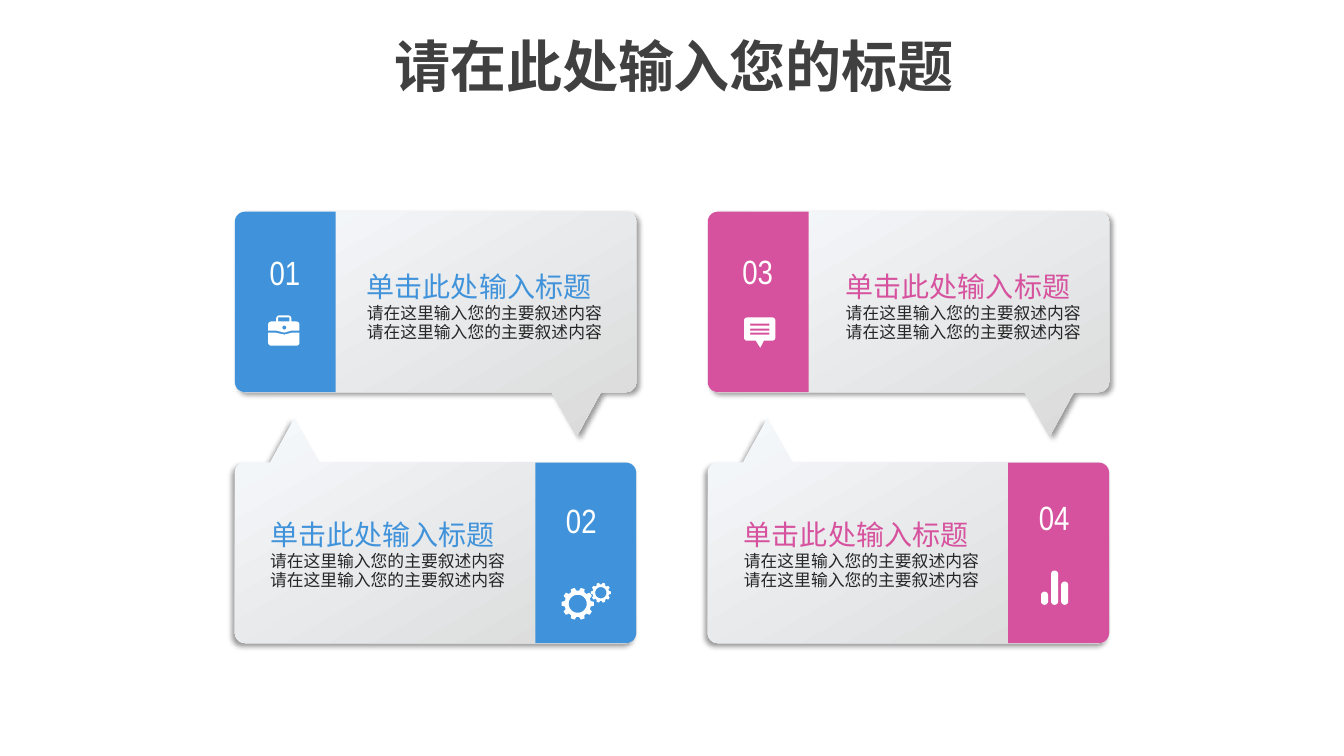
import math

import lxml.etree
import pptx
import pptx.dml.color
import pptx.enum.text
import pptx.oxml.ns
import pptx.util

inches = pptx.util.Inches
rgb = pptx.dml.color.RGBColor.from_string
qn = pptx.oxml.ns.qn
align = pptx.enum.text.PP_ALIGN

CJK, NARROW = "Noto Sans CJK SC", "Arial Narrow"
BLUE, PINK, WHITE = "4093DA", "D7529E", "FFFFFF"
CARD_WIDTH, CARD_HEIGHT, CARD_BODY = 3.98, 2.23, 1.79
CORNER, PANEL = 0.1, 1


def arc(x, y, radius, start, end):
    steps = max(6, (end - start) // 12)
    angles = [math.radians(start + (end - start) * i / steps) for i in range(steps + 1)]
    return [(x + radius * math.cos(a), y + radius * math.sin(a)) for a in angles]


def draw(shapes, left, top, contours, color):
    placed = [[(inches(left + x), inches(top + y)) for x, y in c] for c in contours]
    builder = shapes.build_freeform(*placed[0][0])
    builder.add_line_segments(placed[0][1:], close=True)
    for contour in placed[1:]:
        builder.move_to(*contour[0])
        builder.add_line_segments(contour[1:], close=True)
    shape = builder.convert_to_shape()
    shape.shadow.inherit = False
    shape.line.fill.background()
    shape.fill.solid()
    shape.fill.fore_color.rgb = rgb(color)
    return shape


presentation = pptx.Presentation()
presentation.slide_width = inches(13.33)
presentation.slide_height = inches(7.5)
slide = presentation.slides.add_slide(presentation.slide_layouts[6])

right, bottom = CARD_WIDTH - CORNER, CARD_BODY - CORNER
top_left = arc(CORNER, CORNER, CORNER, 180, 270)
bottom_left = arc(CORNER, bottom, CORNER, 90, 180)
bubble = (top_left + arc(right, CORNER, CORNER, 270, 360) + arc(right, bottom, CORNER, 0, 90)
          + [(3.63, CARD_BODY), (3.39, CARD_HEIGHT), (3.14, CARD_BODY)] + bottom_left)
panel = top_left + [(PANEL, 0), (PANEL, CARD_BODY)] + bottom_left

briefcase = [
    [[(0.33, 1.2), (0.4, 1.2), (0.49, 1.22), (0.57, 1.2), (0.64, 1.2)]
     + arc(0.61, 1.3, 0.03, 0, 90) + arc(0.36, 1.3, 0.03, 90, 180)],
    [arc(0.36, 1.12, 0.03, 180, 270) + [(0.41, 1.09)]
     + arc(0.44, 1.06, 0.03, 180, 270) + arc(0.53, 1.06, 0.03, 270, 360)
     + [(0.56, 1.09)] + arc(0.61, 1.12, 0.03, 270, 360)
     + [(0.64, 1.18), (0.56, 1.18), (0.49, 1.2), (0.41, 1.18), (0.33, 1.18)],
     [(0.43, 1.05), (0.54, 1.05), (0.54, 1.09), (0.43, 1.09)],
     arc(0.49, 1.15, 0.02, 0, 360)],
]

chat = [
    [[(0.47, 1.27), (0.56, 1.27), (0.52, 1.35)]],
    [arc(0.39, 1.08, 0.03, 180, 270) + arc(0.64, 1.08, 0.03, 270, 360)
     + arc(0.64, 1.25, 0.03, 0, 90) + arc(0.39, 1.25, 0.03, 90, 180)]
    + [[(0.42, y), (0.61, y), (0.61, y + 0.02), (0.42, y + 0.02)] for y in (1.11, 1.16, 1.2)],
]

gears = []
for x, y, radius in ((3.4, 1.84, 0.16), (3.63, 1.73, 0.1)):
    teeth = []
    for tooth in range(10):
        for turn, share in ((-12, 0.82), (-7, 1), (7, 1), (12, 0.82)):
            angle = math.radians(tooth * 36 + turn)
            teeth.append((x + share * radius * math.cos(angle),
                          y + share * radius * math.sin(angle)))
    gears.append([teeth, arc(x, y, 0.56 * radius, 0, 360)])

bar_radius = 0.07 / 2
bars = [[arc(x, y + bar_radius, bar_radius, 180, 360) + arc(x, 1.85 - bar_radius, bar_radius, 0, 180)]
        for x, y in ((3.34, 1.72), (3.44, 1.51), (3.54, 1.62))]

cards = [
    (0, 0, "01", BLUE, briefcase, 0.04, 0.35, 1.21),
    (1, 0, "03", PINK, chat, 0.04, 0.34, 1.27),
    (0, 1, "02", BLUE, gears, 2.98, 0.76, 0.25),
    (1, 1, "04", PINK, bars, 2.98, 0.73, 0.26),
]
labels = [(slide.shapes, (3.77, 0.24, 5.83, 0.77), False, align.CENTER,
           [("请在此处输入您的标题", 40, CJK, "404040", True, 50)])]

for column, row, number, color, icon, number_x, number_y, text_x in cards:
    left, top = 2.33 + 4.69 * column, 2.1 + 2.05 * row
    shapes = slide.shapes.add_group_shape().shapes
    outlines = [bubble, panel]
    if row:
        outlines = [[(CARD_WIDTH - x, CARD_HEIGHT - y) for x, y in o] for o in outlines]

    card = draw(shapes, left, top, outlines[:1], WHITE)
    card.fill.gradient()
    card.fill.gradient_angle = 300
    for stop, shade in zip(card.fill.gradient_stops, ("F7FAFD", "D9D9D9")):
        stop.color.rgb = rgb(shade)
    effects = card.element.spPr.find(qn("a:effectLst"))
    shadow = lxml.etree.SubElement(
        effects, qn("a:outerShdw"), blurRad=str(pptx.util.Pt(4)), dist=str(pptx.util.Pt(3)),
        dir=str((45 + 90 * row) * 60000), algn="ctr", rotWithShape="0")
    shade = lxml.etree.SubElement(shadow, qn("a:srgbClr"), val="000000")
    lxml.etree.SubElement(shade, qn("a:alpha"), val="40000")

    draw(shapes, left, top, outlines[1:], color)
    for part in icon:
        draw(shapes, left, top, part, WHITE)

    labels.append((shapes, (left + number_x, top + number_y, 0.91, 0.5), True, align.CENTER,
                   [(number, 24, NARROW, WHITE, False, None)]))
    body = ("请在这里输入您的主要叙述内容", 12, CJK, "262626", False, 14)
    labels.append((shapes, (left + text_x, top + 0.51 + 0.41 * row, 2.56, 1.38), False, align.LEFT,
                   [("单击此处输入标题", 20, CJK, color, False, 25), body, body]))

for shapes, box, wrap, alignment, lines in labels:
    frame = shapes.add_textbox(*map(inches, box)).text_frame
    frame.word_wrap = wrap
    frame.auto_size = pptx.enum.text.MSO_AUTO_SIZE.SHAPE_TO_FIT_TEXT
    for index, (text, size, font, color, bold, spacing) in enumerate(lines):
        paragraph = frame.add_paragraph() if index else frame.paragraphs[0]
        paragraph.alignment = alignment
        if spacing:
            paragraph.line_spacing = pptx.util.Pt(spacing)
        run = paragraph.add_run()
        run.text = text
        run.font.size = pptx.util.Pt(size)
        run.font.bold = bold
        run.font.color.rgb = rgb(color)
        run.font.name = font
        lxml.etree.SubElement(run._r.get_or_add_rPr(), qn("a:ea"), typeface=font)

presentation.save("out.pptx")
